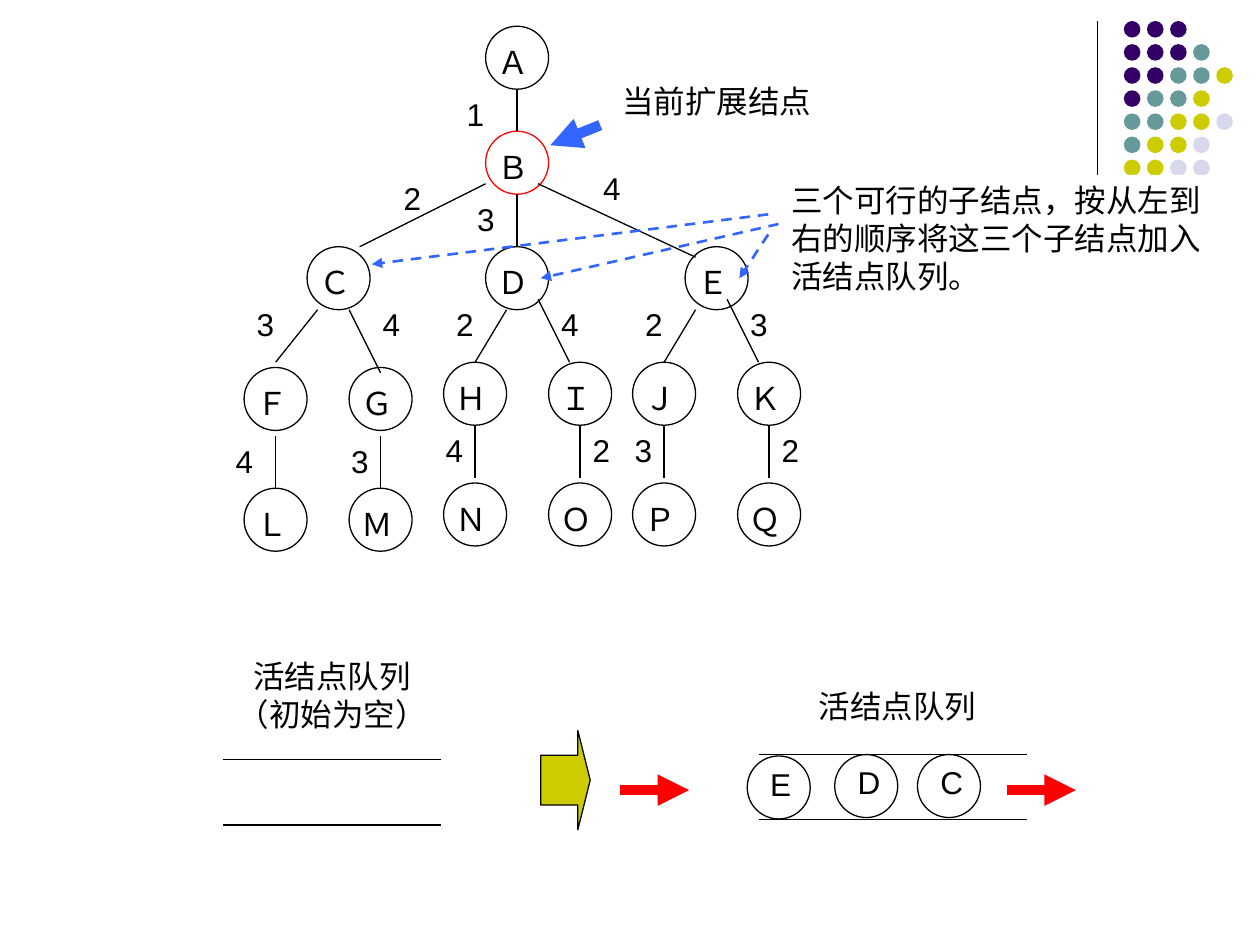
from lxml.etree import SubElement
from pptx import Presentation
from pptx.dml.color import RGBColor
from pptx.enum.dml import MSO_LINE
from pptx.enum.shapes import MSO_CONNECTOR, MSO_SHAPE
from pptx.enum.text import MSO_AUTO_SIZE as AutoSize, PP_ALIGN as Align
from pptx.oxml.ns import qn
from pptx.util import Pt

COLORS = {
    "black": "000000", "white": "FFFFFF", "red": "FF0000", "blue": "3366FF",
    "purple": "330066", "teal": "669999", "olive": "CCCC00", "lilac": "D8D8EC",
}
FONT = "Arial"
NODE = 36

DOT_COLORS = {"p": "purple", "t": "teal", "o": "olive", "l": "lilac"}
DOT_ROWS = ["ppp", "pppt", "pptto", "ptto", "ttool", "tool", "ooll"]
DOT_LEFT, DOT_TOP, DOT_SIZE, DOT_STEP = 642.2, 12, 9.5, 13.2

TREE_NODES = [
    ("Ａ", 277.5, 15), ("Ｂ", 277.5, 75),
    ("Ｃ", 175.5, 141), ("Ｄ", 277.5, 141), ("Ｅ", 391.5, 141),
    ("Ｆ", 139.5, 210), ("Ｇ", 199.5, 210), ("Ｌ", 139.5, 279), ("Ｍ", 199.5, 279),
    ("Ｈ", 253.5, 207), ("Ｉ", 313.5, 207), ("Ｎ", 253.5, 276), ("Ｏ", 313.5, 276),
    ("Ｊ", 361.5, 207), ("Ｋ", 421.5, 207), ("Ｐ", 361.5, 276), ("Ｑ", 421.5, 276),
]
BRANCHES = [
    (295.5, 51, 295.5, 75), (295.5, 111, 295.5, 141),
    (277.5, 105, 205.5, 141), (397.5, 147, 307.5, 105),
    (289.5, 177, 271.5, 207), (181.5, 177, 157.5, 207),
    (397.5, 177, 379.5, 207), (433.5, 207, 415.5, 171),
    (325.5, 207, 307.5, 171), (217.5, 213, 199.5, 177),
]
LEAF_BRANCHES = [(157.5, 249), (217.5, 249), (271.5, 243),
                 (331.5, 243), (379.5, 243), (439.5, 243)]
LEAF_LENGTH = 30

EDGE_LABELS = [
    ("1", 259.5, 51), ("3", 265.5, 111), ("4", 337.5, 93), ("2", 223.5, 99),
    ("3", 139.5, 171), ("4", 127.5, 249), ("3", 193.5, 249),
    ("2", 253.5, 171), ("4", 313.5, 171), ("2", 361.5, 171), ("3", 421.5, 171),
    ("2", 439.5, 243), ("2", 331.5, 243), ("3", 355.5, 243), ("4", 247.5, 243),
    ("4", 211.5, 171),
]
CURRENT_NOTE = "当前扩展结点"
CHILDREN_NOTE = "三个可行的子结点，按从左到右的顺序将这三个子结点加入活结点队列。"
EMPTY_QUEUE_TITLE = "活结点队列（初始为空）"
QUEUE_TITLE = "活结点队列"
QUEUE_RAILS = [(127.5, 252, 434), (127.5, 252, 471.5),
               (433.5, 587, 431), (433.5, 587, 468.5)]
QUEUE_NODES = [("C", 524.3, 431.2), ("D", 477, 431.2), ("E", 427, 432)]
QUEUE_ARROWS = [(354.3, 393.8), (575.3, 614.8)]
QUEUE_ARROW_Y = 451.5
LEFT_POINTERS = [(439, 122.5, 212.5, 151), (445, 128, 309, 159)]
RIGHT_POINTER = (439, 134, 422.5, 159)


def rgb(name):
    return RGBColor.from_string(COLORS[name])


def add_shape(kind, left, top, width, height, fill=None, line=None):
    shape = slide.shapes.add_shape(kind, Pt(left), Pt(top), Pt(width), Pt(height))
    shape.shadow.inherit = False
    if fill:
        shape.fill.solid()
        shape.fill.fore_color.rgb = rgb(fill)
    else:
        shape.fill.background()
    if line:
        shape.line.color.rgb = rgb(line)
        shape.line.width = Pt(0.75)
    else:
        shape.line.fill.background()
    return shape


def add_line(x1, y1, x2, y2, color="black", width=0.75, arrow=False, dashed=False):
    connector = slide.shapes.add_connector(
        MSO_CONNECTOR.STRAIGHT, Pt(x1), Pt(y1), Pt(x2), Pt(y2))
    connector.line.color.rgb = rgb(color)
    connector.line.width = Pt(width)
    if dashed:
        connector.line.dash_style = MSO_LINE.DASH
    if arrow:
        SubElement(connector.line._get_or_add_ln(), qn("a:tailEnd"), type="triangle")
    SubElement(connector._element.spPr, qn("a:effectLst"))


def add_text(text, left, top, width, height=28.8, align=Align.LEFT, fill=None):
    box = slide.shapes.add_textbox(Pt(left), Pt(top), Pt(width), Pt(height))
    if fill:
        box.fill.solid()
        box.fill.fore_color.rgb = rgb(fill)
    frame = box.text_frame
    frame.word_wrap = True
    frame.auto_size = AutoSize.SHAPE_TO_FIT_TEXT
    paragraph = frame.paragraphs[0]
    paragraph.alignment = align
    run = paragraph.add_run()
    run.text = text
    run.font.name = FONT
    run.font.size = Pt(18)
    run.font.color.rgb = rgb("black")


def add_node(label, left, top, text_dx, text_dy, line="black"):
    add_shape(MSO_SHAPE.OVAL, left, top, NODE, NODE, line=line)
    add_text(label, left + text_dx, top + text_dy, 30)


presentation = Presentation()
presentation.slide_width = Pt(720)
presentation.slide_height = Pt(540)
slide = presentation.slides.add_slide(presentation.slide_layouts[6])

add_line(627, 12, 627, 132)
for row, codes in enumerate(DOT_ROWS):
    for column, code in enumerate(codes):
        add_shape(MSO_SHAPE.OVAL, DOT_LEFT + column * DOT_STEP, DOT_TOP + row * DOT_STEP,
                  DOT_SIZE, DOT_SIZE, fill=DOT_COLORS[code])

for label, left, top in TREE_NODES:
    add_node(label, left, top, 0, 6, line="red" if label == "Ｂ" else "black")
for branch in BRANCHES:
    add_line(*branch)
for x, y in LEAF_BRANCHES:
    add_line(x, y, x, y + LEAF_LENGTH)
for label, left, top in EDGE_LABELS:
    add_text(label, left, top, 24)

for start, end, y in QUEUE_RAILS:
    add_line(start, y, end, y)
add_text(EMPTY_QUEUE_TITLE, 127.5, 372, 124.5, 50.4, Align.CENTER)
add_text(QUEUE_TITLE, 450.5, 389, 124.5, align=Align.CENTER)
for label, left, top in QUEUE_NODES:
    add_node(label, left, top, 6, 1.5)
for start, end in QUEUE_ARROWS:
    add_line(start, QUEUE_ARROW_Y, end, QUEUE_ARROW_Y, "red", 6, arrow=True)
step_arrow = add_shape(MSO_SHAPE.RIGHT_ARROW, 309, 417.5, 28.3, 56.7, "olive", "black")
step_arrow.adjustments[0] = 0.5
step_arrow.adjustments[1] = 0.25

add_line(343, 71.5, 314.5, 83, "blue", 6, arrow=True)
add_text(CURRENT_NOTE, 348.5, 43.2, 130.5)
for pointer in LEFT_POINTERS:
    add_line(*pointer, "blue", 1.5, arrow=True, dashed=True)
add_text(CHILDREN_NOTE, 445, 100, 260, 72, fill="white")
add_line(*RIGHT_POINTER, "blue", 1.5, arrow=True, dashed=True)

presentation.save("out.pptx")
